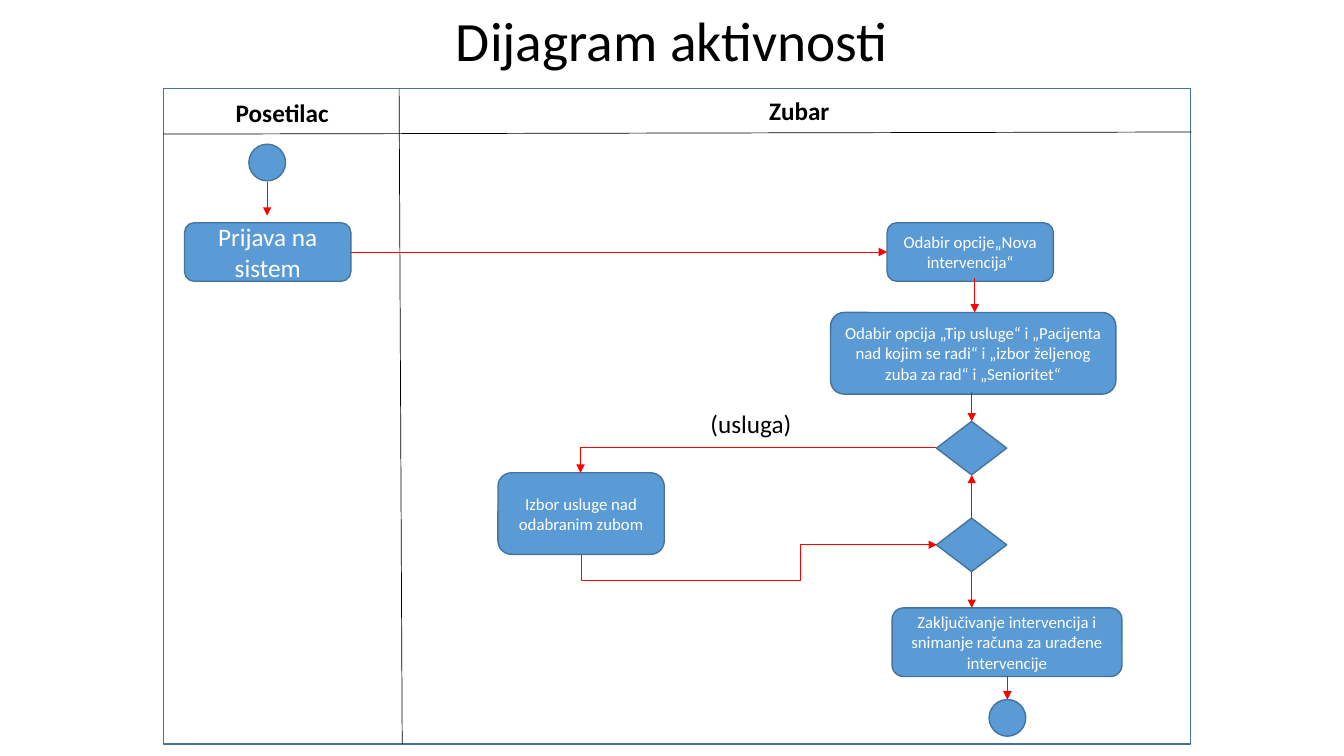
from lxml import etree
from pptx import Presentation
from pptx.dml.color import RGBColor
from pptx.enum import shapes, text
from pptx.oxml.ns import qn
from pptx.util import Pt

BLUE = RGBColor(0x5B, 0x9B, 0xD5)
EDGE = RGBColor(0x43, 0x73, 0x9E)
RED = RGBColor(0xFF, 0, 0)
BLACK = RGBColor(0, 0, 0)
WHITE = RGBColor(0xFF, 0xFF, 0xFF)
FONT = "Calibri"

TITLE = "Dijagram aktivnosti"
FRAME = (116.6, 63.4, 733.7, 468)
DIVIDERS = [(116.6, 95.8, 851, 94.3), (285.1, 63.4, 287.3, 531.4)]
LABELS = [
    ("Posetilac", (161.3, 66.2, 81.4, 28.8), True),
    ("Zubar", (542.2, 64.8, 58.3, 28.8), True),
    ("(usluga)", (500.4, 288, 72.7, 28.8), False),
]
STEPS = [
    ("Prijava na sistem", (131.8, 159.1, 118.8, 41.8), 18),
    ("Odabir opcije„Nova intervencija“", (633.6, 159.1, 118.8, 41.8), 12),
    ("Odabir opcija „Tip usluge“ i „Pacijenta nad kojim se radi“ i "
     "„izbor željenog zuba za rad“ i „Senioritet“", (593.3, 223.2, 203.8, 58.3), 12),
    ("Izbor usluge nad odabranim zubom", (355.7, 337.7, 118.8, 58.3), 12),
    ("Zaključivanje intervencija i snimanje računa za urađene intervencije",
     (637.2, 434.2, 164.2, 49), 12),
]
TERMINALS = [(177.8, 103, 26.2, 26.2), (706.5, 499.7, 26.2, 26.2)]
DECISIONS = [(668.9, 301, 50.2, 38.2), (668.9, 370.1, 50.2, 38.2)]
ARROWS = [
    (190.8, 130.3, 190.8, 154.1),
    (250.6, 180, 633.6, 180),
    (696.2, 198.7, 696.2, 223.2),
    (694.1, 280.1, 694.1, 301),
    (694.1, 370.1, 694.1, 339.2),
    (694.1, 408.3, 694.1, 434.2),
    (719.6, 482.6, 719.6, 499.7),
]
TO_SERVICE = (668.9, 319.7, 414.7, 337.7)
FROM_SERVICE = (545.8, 519.8, 538.6, 265.7)
FROM_SERVICE_BENDS = {"adj1": -257100, "adj2": 61700}

prs = Presentation()
prs.slide_width, prs.slide_height = Pt(960), Pt(540)
s = prs.slides.add_slide(prs.slide_layouts[5])


def pts(values):
    return [Pt(v) for v in values]


def write(tf, words, color, **font):
    p = tf.paragraphs[0]
    r = p.add_run()
    r.text = words
    r.font.color.rgb = color
    for name, value in {"name": FONT, **font}.items():
        setattr(r.font, name, value)
    return p


def add_node(kind, box, fill=BLUE):
    sp = s.shapes.add_shape(kind, *pts(box))
    sp.shadow.inherit = False
    sp.fill.solid()
    sp.fill.fore_color.rgb = fill
    sp.line.color.rgb = EDGE
    sp.line.width = Pt(1)
    return sp


def add_line(ends, color, arrow=False, kind=shapes.MSO_CONNECTOR.STRAIGHT):
    c = s.shapes.add_connector(kind, *pts(ends))
    c.line.color.rgb = color
    c.line.width = Pt(0.5)
    if arrow:
        etree.SubElement(c.line._get_or_add_ln(), qn("a:tailEnd"), type="triangle")
    etree.SubElement(c._element.spPr, qn("a:effectLst"))
    return c


def add_bent(ends, preset, bends=None, turn=0):
    c = add_line(ends, RED, True, shapes.MSO_CONNECTOR.ELBOW)
    spPr = c._element.spPr
    geom = spPr.find(qn("a:prstGeom"))
    geom.set("prst", preset)
    guides = geom.find(qn("a:avLst"))
    for name, value in (bends or {}).items():
        etree.SubElement(guides, qn("a:gd"), name=name, fmla=f"val {value}")
    if turn:
        spPr.find(qn("a:xfrm")).set("rot", str(turn * 60000))


title = s.shapes.title
title.left, title.top, title.width, title.height = pts((66, 29, 828, 4))
tf = title.text_frame
tf.word_wrap = True
tf.auto_size = text.MSO_AUTO_SIZE.NONE
tf.vertical_anchor = text.MSO_ANCHOR.MIDDLE
p = write(tf, TITLE, BLACK, size=Pt(39.6))
p.alignment = text.PP_ALIGN.CENTER
p.line_spacing = 0.9

add_node(shapes.MSO_SHAPE.RECTANGLE, FRAME, WHITE)
for ends in DIVIDERS:
    add_line(ends, BLACK)

for words, box, bold in LABELS:
    tf = s.shapes.add_textbox(*pts(box)).text_frame
    tf.word_wrap = False
    tf.auto_size = text.MSO_AUTO_SIZE.SHAPE_TO_FIT_TEXT
    write(tf, words, BLACK, size=Pt(18), bold=bold)

for words, box, size in STEPS:
    tf = add_node(shapes.MSO_SHAPE.ROUNDED_RECTANGLE, box).text_frame
    tf.word_wrap = True
    tf.vertical_anchor = text.MSO_ANCHOR.MIDDLE
    write(tf, words, WHITE, size=Pt(size)).alignment = text.PP_ALIGN.CENTER

for box in TERMINALS:
    add_node(shapes.MSO_SHAPE.FLOWCHART_CONNECTOR, box)
for box in DECISIONS:
    add_node(shapes.MSO_SHAPE.FLOWCHART_DECISION, box)

for ends in ARROWS:
    add_line(ends, RED, True)
add_bent(TO_SERVICE, "bentConnector2")
add_bent(FROM_SERVICE, "bentConnector4", FROM_SERVICE_BENDS, 90)

prs.save("out.pptx")
